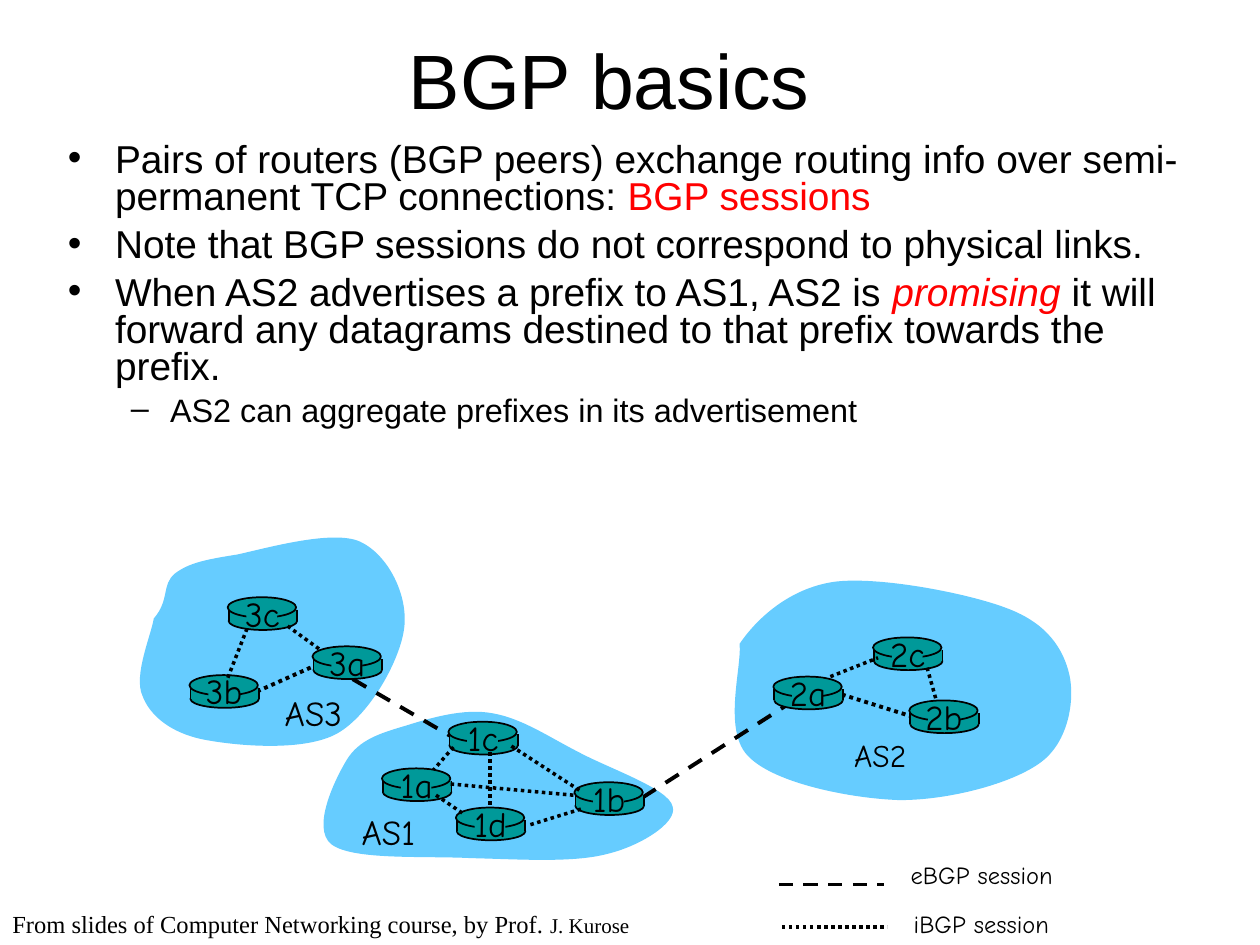
from lxml import etree
from pptx import Presentation
from pptx.dml.color import RGBColor
from pptx.enum.dml import MSO_LINE
from pptx.enum.shapes import MSO_CONNECTOR, MSO_SHAPE
from pptx.enum.text import MSO_ANCHOR, PP_ALIGN
from pptx.oxml.ns import qn
from pptx.util import Cm, Pt

BLACK = RGBColor(0x00, 0x00, 0x00)
RED = RGBColor(0xFF, 0x00, 0x00)
SKY = RGBColor(0x66, 0xCC, 0xFF)
TEAL = RGBColor(0x00, 0x99, 0x99)
DASH, DOT = MSO_LINE.DASH, MSO_LINE.ROUND_DOT
OVAL, RECT = MSO_SHAPE.OVAL, MSO_SHAPE.RECTANGLE
STRAIGHT = MSO_CONNECTOR.STRAIGHT
LEFT, CENTER = PP_ALIGN.LEFT, PP_ALIGN.CENTER
TOP, MIDDLE = MSO_ANCHOR.TOP, MSO_ANCHOR.MIDDLE
HAND, SANS, SERIF = "Comic Neue", "Arial", "Times New Roman"

# Cloud outlines: a start point, then Bezier curves of two handles and an end
CLOUDS = [
    ((12.37, 2.82), [  # AS2
        (12.73, 2.29, 13.39, 1.7, 14.27, 1.57), (15.16, 1.45, 16.99, 1.8, 17.78, 2.11),
        (18.57, 2.41, 18.9, 2.92, 19.02, 3.45), (19.13, 3.96, 19, 4.8, 18.44, 5.21),
        (17.86, 5.64, 16.59, 5.97, 15.6, 5.97), (14.63, 5.94, 13.11, 5.64, 12.57, 5.11),
        (12.01, 4.6, 12.42, 3.3, 12.37, 2.82)]),
    ((0.56, 2.31), [  # AS3
        (0.89, 1.93, 0.71, 1.63, 0.99, 1.4), (1.27, 1.19, 1.6, 1.12, 2.24, 1.02),
        (2.84, 0.89, 4.17, 0.51, 4.72, 0.76), (5.28, 1.02, 5.69, 1.83, 5.61, 2.49),
        (5.54, 3.12, 4.93, 4.24, 4.27, 4.62), (3.61, 5, 2.24, 4.88, 1.57, 4.75),
        (0.91, 4.62, 0.48, 4.27, 0.33, 3.86), (0.15, 3.45, 0.51, 2.64, 0.56, 2.31)]),
    ((4.45, 5.16), [  # AS1
        (4.7, 4.75, 5.13, 4.62, 5.64, 4.47), (6.12, 4.32, 6.81, 4.11, 7.39, 4.22),
        (7.98, 4.32, 8.53, 4.7, 9.12, 5), (9.73, 5.33, 10.95, 5.74, 11.02, 6.1),
        (11.13, 6.43, 10.34, 6.91, 9.68, 7.06), (8.99, 7.24, 7.87, 7.16, 6.96, 7.14),
        (6.02, 7.09, 4.57, 7.19, 4.14, 6.86), (3.73, 6.53, 4.22, 5.54, 4.45, 5.16)]),
]
ROUTERS = {
    "3b": (1.28, 3.45), "1d": (6.65, 6.12), "3a": (3.76, 2.87), "1c": (6.5, 4.39),
    "2a": (13.05, 3.48), "1a": (5.16, 5.33), "2c": (15.06, 2.69),
    "2b": (15.79, 3.96), "1b": (9.04, 5.61), "3c": (2.05, 1.88),
}
# Sessions as x1, y1, x2, y2; the first two groups run behind the routers
EBGP = [(4.57, 3.53, 6.53, 4.67), (10.41, 5.92, 13.31, 4.06)]
IBGP_BEHIND = [(14.43, 3.84, 15.8, 4.27), (2.64, 3.78, 3.76, 3.28)]
IBGP = [
    (6.6, 4.9, 6.2, 5.36), (7.34, 5, 7.34, 6.1), (7.77, 4.88, 9.17, 5.79),
    (9.17, 6.15, 8.1, 6.48), (9.02, 5.87, 6.5, 5.64), (14.2, 3.48, 15.16, 3.1),
    (3.89, 2.92, 3.23, 2.44), (2.44, 2.51, 2.03, 3.56), (16.15, 3.3, 16.33, 3.94),
    (6.25, 5.87, 6.81, 6.25),
]
AS_LABELS = [("AS3", 2.95, 3.66, 20), ("AS1", 4.5, 6.05, 20), ("AS2", 14.43, 4.55, 18)]

# Body paragraphs: level, runs of (text, colour, italic)
BODY = [
    (0, [("Pairs of routers (BGP peers) exchange routing info over semi-permanent "
          "TCP connections: ", BLACK, False), ("BGP sessions", RED, False)]),
    (0, [("Note that BGP sessions do not correspond to physical links.", BLACK, False)]),
    (0, [("When AS2 advertises a prefix to AS1, AS2 is ", BLACK, False),
         ("promising", RED, True),
         (" it will forward any datagrams destined to that prefix towards the prefix.",
          BLACK, False)]),
    (1, [("AS2 can aggregate prefixes in its advertisement", BLACK, False)]),
]
# Per level: bullet, left margin, hanging indent, size, space before
LEVELS = [("•", 0.95, -0.95, 22.2, 6), ("–", 2.06, -0.79, 18.5, 5)]


def style_font(font, name, size, color=BLACK):
    font.name, font.size = name, Pt(size)
    font.color.rgb = color


def add_text(page, text, left, top, width, height, name, size,
             align=LEFT, anchor=TOP, wrap=False):
    box = page.shapes.add_textbox(Cm(left), Cm(top), Cm(width), Cm(height))
    frame = box.text_frame
    frame.word_wrap, frame.vertical_anchor = wrap, anchor
    para = frame.paragraphs[0]
    para.text, para.alignment = text, align
    style_font(para.font, name, size)
    return para


def add_line(page, x1, y1, x2, y2, width, dash=None):
    line = page.shapes.add_connector(STRAIGHT, Cm(x1), Cm(y1), Cm(x2), Cm(y2))
    line.line.color.rgb, line.line.width = BLACK, Pt(width)
    if dash:
        line.line.dash_style = dash
    etree.SubElement(line._element.spPr, qn("a:effectLst"))


def paint(shape, fill, outlined=False):
    shape.shadow.inherit = False
    shape.fill.solid()
    shape.fill.fore_color.rgb = fill
    if outlined:
        shape.line.color.rgb, shape.line.width = BLACK, Pt(1)
    else:
        shape.line.fill.background()


def add_cloud(page, left, top, start, curves):
    points = [(Cm(left + curve[i]), Cm(top + curve[i + 1]))
              for curve in curves for i in (0, 2, 4)]
    builder = page.shapes.build_freeform(Cm(left + start[0]), Cm(top + start[1]))
    builder.add_line_segments(points, close=True)
    cloud = builder.convert_to_shape()
    paint(cloud, SKY)
    # Turn each three straight segments into one Bezier curve
    segments = list(cloud._element.iter(qn("a:lnTo")))
    for first in range(0, len(points), 3):
        trio = segments[first:first + 3]
        bezier = etree.Element(qn("a:cubicBezTo"))
        trio[0].addprevious(bezier)
        for segment in trio:
            bezier.append(segment[0])
            segment.getparent().remove(segment)


def add_router(page, left, top, name):
    def part(kind, x, y, width, height, outlined=False):
        shape = page.shapes.add_shape(kind, Cm(left + x), Cm(top + y), Cm(width), Cm(height))
        paint(shape, TEAL, outlined)

    part(OVAL, 0.02, 0.3, 1.38, 0.36, True)
    part(RECT, 0.02, 0.25, 1.38, 0.23)
    for side in (0.02, 1.4):
        add_line(page, left + side, top + 0.25, left + side, top + 0.48, 1)
    part(OVAL, 0, 0, 1.38, 0.41, True)
    part(RECT, 0.38, 0.04, 0.62, 0.5)
    add_text(page, name, left - 0.1, top - 0.23, 1.6, 1.12, HAND, 20, CENTER)


def add_network(page, left, top):
    def sessions(links, width, dash):
        for x1, y1, x2, y2 in links:
            add_line(page, left + x1, top + y1, left + x2, top + y2, width, dash)

    for start, curves in CLOUDS:
        add_cloud(page, left, top, start, curves)
    sessions(EBGP, 2.25, DASH)
    sessions(IBGP_BEHIND, 2.25, DOT)
    for name, (x, y) in ROUTERS.items():
        add_router(page, left + x, top + y, name)
    sessions(IBGP, 2, DOT)
    for name, x, y, size in AS_LABELS:
        add_text(page, name, left + x, top + y, 1.9, 1.12, HAND, size)


def add_legend(page, left, top):
    for label, dash, y, shift in (("eBGP session", DASH, 0, 0), ("iBGP session", DOT, 0.99, 0.06)):
        line_y = top + y * 0.87 + 0.61
        add_line(page, left + shift, line_y, left + shift + 2.13, line_y, 2, dash)
        add_text(page, label, left + 2.41 + shift, top + y, 3.7, 0.86, HAND, 14)


def add_body(page, left, top, width, height):
    box = page.shapes.add_textbox(Cm(left), Cm(top), Cm(width), Cm(height))
    frame = box.text_frame
    frame.word_wrap = True
    for index, (level, spans) in enumerate(BODY):
        bullet, margin, indent, size, before = LEVELS[level]
        para = frame.add_paragraph() if index else frame.paragraphs[0]
        para.level, para.line_spacing = level, 0.8
        para.space_before = Pt(before if index else 0)
        props = para._p.get_or_add_pPr()
        props.set("marL", str(Cm(margin)))
        props.set("indent", str(Cm(indent)))
        color = etree.SubElement(props, qn("a:buClr"))
        etree.SubElement(color, qn("a:srgbClr")).set("val", str(BLACK))
        etree.SubElement(props, qn("a:buFont")).set("typeface", SANS)
        etree.SubElement(props, qn("a:buChar")).set("char", bullet)
        style_font(para.font, SANS, size)
        for text, color, italic in spans:
            span = para.add_run()
            span.text = text
            if color != BLACK:
                span.font.color.rgb = color
            if italic:
                span.font.italic = True


def add_credit(page, left, top):
    para = add_text(page, "From slides of Computer Networking course, by Prof. ",
                    left, top, 13.34, 0.86, SERIF, 14, wrap=True)
    span = para.add_run()
    span.text, span.font.size = "J. Kurose", Pt(12)


def main():
    deck = Presentation()
    deck.slide_width, deck.slide_height = Cm(25.4), Cm(19.05)
    page = deck.slides.add_slide(deck.slide_layouts[6])
    add_text(page, "BGP basics", 1.49, 0, 21.59, 3.18, SANS, 44, CENTER, MIDDLE, True)
    add_body(page, 1.12, 2.77, 22.99, 6.43)
    add_network(page, 2.54, 10.16)
    add_legend(page, 15.7, 17.22)
    add_credit(page, 0, 18.21)
    deck.save("out.pptx")


if __name__ == "__main__":
    main()
